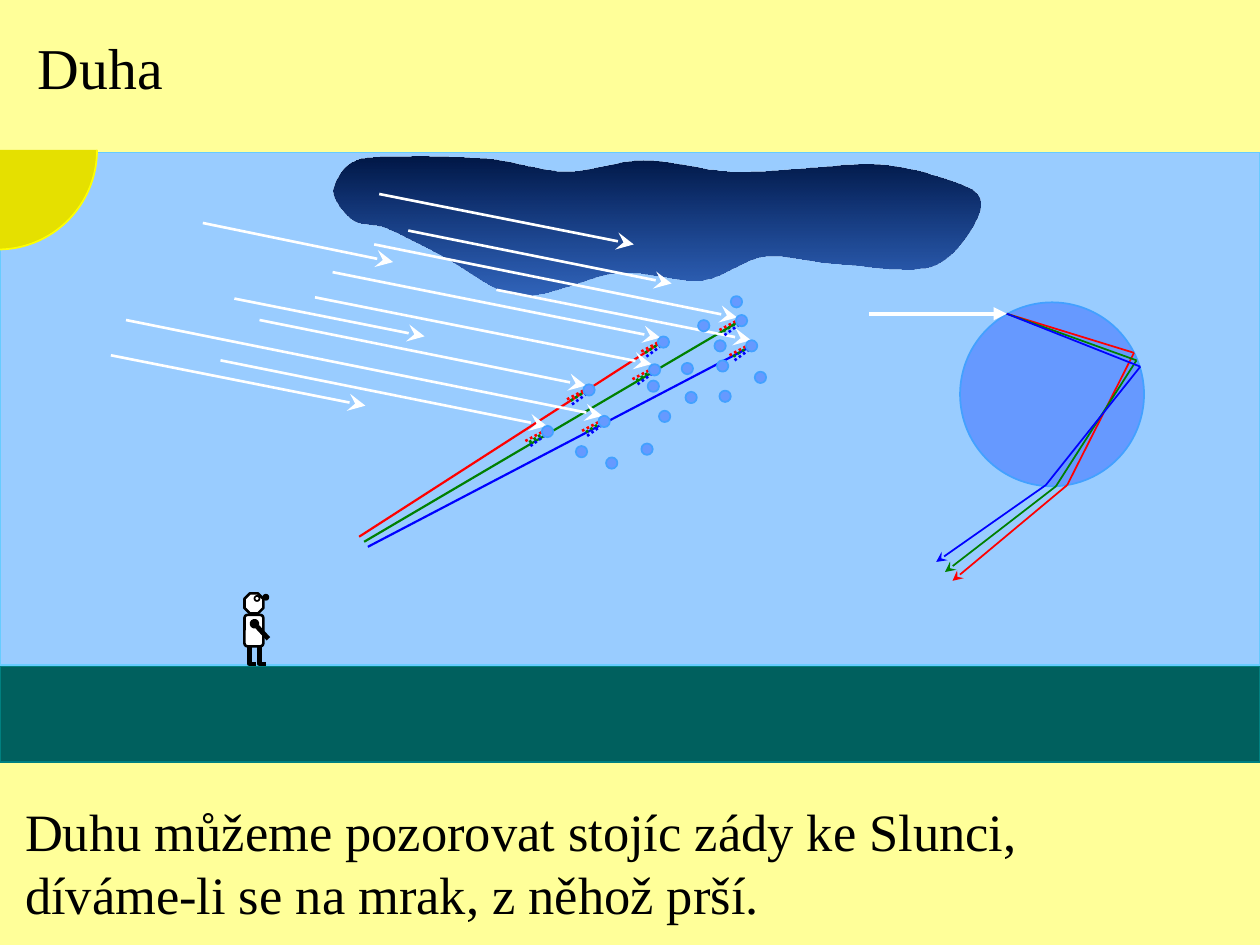
from dataclasses import dataclass

from lxml import etree
from pptx import Presentation
from pptx.dml.color import RGBColor
from pptx.enum.dml import MSO_LINE
from pptx.enum.shapes import MSO_CONNECTOR, MSO_SHAPE
from pptx.enum.text import MSO_AUTO_SIZE, PP_ALIGN
from pptx.oxml.ns import qn
from pptx.util import Inches, Pt

RECT, OVAL, ARC = MSO_SHAPE.RECTANGLE, MSO_SHAPE.OVAL, MSO_SHAPE.ARC
ROUNDED, OCTAGON = MSO_SHAPE.ROUNDED_RECTANGLE, MSO_SHAPE.OCTAGON
STRAIGHT, DOTTED = MSO_CONNECTOR.STRAIGHT, MSO_LINE.ROUND_DOT
LEFT, JUSTIFY = PP_ALIGN.LEFT, PP_ALIGN.JUSTIFY


@dataclass(frozen=True)
class Theme:
    font: str = "Times New Roman"
    title_size: int = 33
    body_size: int = 30
    paper: str = "FFFF99"
    black: str = "000000"
    white: str = "FFFFFF"
    sky: str = "99CCFF"
    sky_edge: str = "66CCFF"
    ground: str = "00605E"
    ground_edge: str = "008080"
    water: str = "6699FF"
    water_edge: str = "43A1FF"
    sun: str = "E5E000"
    sun_edge: str = "FFFF00"
    cloud_top: str = "001746"
    cloud_bottom: str = "003398"
    red: str = "FF0000"
    green: str = "008000"
    blue: str = "0000FF"


T = Theme()
prs = Presentation()
prs.slide_width, prs.slide_height = Inches(10), Inches(7.5)
CELL = prs.slide_width // 10  # grid of 10 columns by 7.5 rows
s = prs.slides.add_slide(prs.slide_layouts[6])
s.background.fill.solid()
s.background.fill.fore_color.rgb = RGBColor.from_string(T.paper)


def paint(shape, fill, line, width=1):
    """Set fill and outline; None leaves that part empty."""
    shape.shadow.inherit = False
    for color, target in ((fill, shape.fill), (line, shape.line.fill)):
        if color:
            target.solid()
            target.fore_color.rgb = RGBColor.from_string(color)
        else:
            target.background()
    if line:
        shape.line.width = Pt(width)
    return shape


def add_ray(start, end, color, width, head=None, tail=None, size="med", dash=None):
    """Draw a straight line between two grid points."""
    ray = s.shapes.add_connector(STRAIGHT, *(round(v * CELL) for v in (*start, *end)))
    ray.line.color.rgb = RGBColor.from_string(color)
    ray.line.width = Pt(width)
    if dash:
        ray.line.dash_style = dash
    ln = ray.line._get_or_add_ln()
    for tag, kind in (("a:headEnd", head), ("a:tailEnd", tail)):
        if kind:
            etree.SubElement(ln, qn(tag), type=kind, w=size, len=size)
    etree.SubElement(ray._element.spPr, qn("a:effectLst"))


# Sky, ground and the enlarged raindrop
for kind, box, fill, line in (
    (RECT, (0, 1.21, 10, 4.07), T.sky, T.sky_edge),
    (RECT, (0, 5.29, 10, 0.76), T.ground, T.ground_edge),
    (OVAL, (7.62, 2.4, 1.46, 1.46), T.water, T.water_edge),
):
    paint(s.shapes.add_shape(kind, *(round(v * CELL) for v in box)), fill, line)

# Quarter sun in the corner of the sky, from 0 to 90 degrees
sun = s.shapes.add_shape(ARC, *(round(v * CELL) for v in (-0.8, 0.4, 1.57, 1.58)))
paint(sun, T.sun, T.sun_edge)
sun.adjustments[0], sun.adjustments[1] = 0, 54

# Cloud edge: a start point, then two controls and an end per curve
cloud_start = (2.65, 1.51)
cloud_curves = (
    (2.65, 1.59, 2.73, 1.69, 2.8, 1.74), (2.87, 1.79, 2.96, 1.76, 3.08, 1.81),
    (3.2, 1.86, 3.35, 1.94, 3.52, 2.03), (3.7, 2.12, 3.91, 2.32, 4.14, 2.34),
    (4.37, 2.36, 4.67, 2.18, 4.91, 2.16), (5.15, 2.14, 5.38, 2.24, 5.58, 2.22),
    (5.77, 2.19, 5.9, 2.05, 6.07, 2.03), (6.25, 2.01, 6.43, 2.08, 6.65, 2.09),
    (6.87, 2.1, 7.23, 2.18, 7.42, 2.1), (7.6, 2.02, 7.78, 1.73, 7.78, 1.61),
    (7.78, 1.49, 7.58, 1.45, 7.44, 1.4), (7.3, 1.35, 7.1, 1.31, 6.93, 1.3),
    (6.76, 1.29, 6.61, 1.32, 6.42, 1.33), (6.23, 1.34, 6.01, 1.37, 5.79, 1.36),
    (5.57, 1.35, 5.32, 1.27, 5.11, 1.27), (4.89, 1.27, 4.69, 1.36, 4.49, 1.36),
    (4.29, 1.36, 4.09, 1.28, 3.89, 1.26), (3.68, 1.24, 3.44, 1.24, 3.27, 1.24),
    (3.09, 1.25, 2.93, 1.23, 2.83, 1.27), (2.72, 1.32, 2.66, 1.43, 2.65, 1.51),
)

# Free outlines: cloud and the observer's legs
outlines = [([cloud_start] + [c[4:] for c in cloud_curves], True, T.cloud_top, None, 0)]
for leg_x in (2.06, 1.98):
    leg = [(leg_x, 5.13), (leg_x, 5.27), (leg_x + 0.05, 5.27)]
    outlines.append((leg, False, None, T.black, 2.5))
drawn = []
for points, closed, fill, line, width in outlines:
    emu = [(round(x * CELL), round(y * CELL)) for x, y in points]
    builder = s.shapes.build_freeform(*emu[0], scale=1.0)
    builder.add_line_segments(emu[1:], close=closed)
    drawn.append(paint(builder.convert_to_shape(), fill, line, width))

# Bend the cloud's straight segments into curves
cloud = drawn[0]
segments = cloud._element.spPr.findall(".//" + qn("a:lnTo"))
for segment, curve in zip(segments, cloud_curves):
    bend = etree.Element(qn("a:cubicBezTo"))
    for x, y in zip(curve[::2], curve[1::2]):
        etree.SubElement(bend, qn("a:pt"), x=str(round(x * CELL) - cloud.left),
                         y=str(round(y * CELL) - cloud.top))
    segment.getparent().replace(segment, bend)

# Cloud shading, dark at the top and sheer at the bottom
shade = cloud.fill
shade.gradient()
shade.gradient_angle = 270
for stop, color in zip(shade.gradient_stops, (T.cloud_top, T.cloud_bottom)):
    stop.color.rgb = RGBColor.from_string(color)
last_color = cloud._element.spPr.findall(".//" + qn("a:srgbClr"))[-1]
etree.SubElement(last_color, qn("a:alpha"), val="68000")

# Title and explanation
for box, lines, size, align in (
    ((0.2, 0.2, 1.19, 0.65), ["Duha"], T.title_size, LEFT),
    ((0.1, 6.29, 8.08, 1.1),
     ["Duhu můžeme pozorovat stojíc zády ke Slunci,",
      "díváme-li se na mrak, z něhož prší."], T.body_size, JUSTIFY),
):
    tf = s.shapes.add_textbox(*(round(v * CELL) for v in box)).text_frame
    tf.word_wrap = False
    tf.auto_size = MSO_AUTO_SIZE.SHAPE_TO_FIT_TEXT
    tf.text = "\n".join(lines)
    for p in tf.paragraphs:
        p.alignment = align
        for r in p.runs:
            r.font.name, r.font.size = T.font, Pt(size)
            r.font.color.rgb = RGBColor.from_string(T.black)

# Light split inside the enlarged drop: entry, reflection, exit, way out
entry = (7.99, 2.49)
for color, mirror, leave, out in (
    (T.red, (9, 2.8), (8.47, 3.85), (7.56, 4.61)),
    (T.green, (9.02, 2.86), (8.38, 3.86), (7.5, 4.54)),
    (T.blue, (9.05, 2.91), (8.3, 3.85), (7.43, 4.46)),
):
    add_ray(entry, mirror, color, 1)
    add_ray(leave, mirror, color, 1)
    add_ray(out, leave, color, 1, head="stealth")
add_ray((6.9, 2.49), entry, T.white, 2.5, tail="triangle")

# Observer: head, body, eye and nose
for kind, box, fill, width, corner in (
    (OCTAGON, (1.94, 4.71, 0.15, 0.16), T.white, 1.5, 0.29),
    (ROUNDED, (1.94, 4.88, 0.15, 0.25), T.white, 1.5, 0.17),
    (OVAL, (2.02, 4.73, 0.04, 0.04), T.white, 1, None),
    (OVAL, (2.09, 4.72, 0.04, 0.04), T.black, 1, None),
):
    part = s.shapes.add_shape(kind, *(round(v * CELL) for v in box))
    paint(part, fill, T.black, width)
    if corner:
        part.adjustments[0] = corner

# Coloured rays that reach the observer
for start, end, color in (
    ((2.85, 4.26), (5.29, 2.69), T.red),
    ((2.89, 4.3), (5.85, 2.56), T.green),
    ((2.92, 4.34), (5.96, 2.75), T.blue),
):
    add_ray(start, end, color, 1.25)

# Sunbeams
for x0, y0, x1, y1 in (
    (3.24, 1.83, 5.33, 2.25), (2.64, 2.16, 5.24, 2.68), (2.5, 2.36, 5.17, 2.89),
    (2.06, 2.54, 4.65, 3.06), (1.75, 2.86, 4.34, 3.38), (2.97, 1.94, 5.85, 2.52),
    (3.01, 1.54, 5.03, 1.94), (3.94, 2.3, 5.96, 2.7), (1, 2.54, 4.78, 3.3),
    (0.88, 2.82, 2.9, 3.22), (1.86, 2.37, 3.37, 2.67), (1.61, 1.77, 3.12, 2.08),
):
    add_ray((x0, y0), (x1, y1), T.white, 1.5, tail="stealth", size="lg")

# Raindrops; the lit ones each send out a dotted spectrum
plain_drops = [(5.99, 2.95), (5.14, 3.02), (5.23, 3.26), (5.41, 2.88), (5.54, 2.54),
               (5.44, 3.11), (5.67, 2.7), (5.8, 2.35), (4.57, 3.54), (4.81, 3.63),
               (5.09, 3.52), (5.71, 3.1), (5.69, 2.86)]
lit_drops = [(5.84, 2.5), (5.22, 2.67), (5.92, 2.7), (5.15, 2.89), (4.63, 3.05),
             (4.3, 3.38), (4.75, 3.3)]
spectrum = ((T.red, -0.13, 0.12, 0, 0.05), (T.blue, -0.09, 0.16, 0.02, 0.08),
            (T.green, -0.1, 0.13, 0.01, 0.06))
for x, y in lit_drops:
    for color, dx0, dy0, dx1, dy1 in spectrum:
        add_ray((x + dx0, y + dy0), (x + dx1, y + dy1), color, 1.5, dash=DOTTED)
for x, y in plain_drops + lit_drops:
    drop = s.shapes.add_shape(OVAL, *(round(v * CELL) for v in (x, y, 0.09, 0.09)))
    paint(drop, T.water, T.water_edge)

# Observer's arm
add_ray((2.02, 4.95), (2.13, 5.07), T.black, 2.75, head="oval", size="sm")

prs.save("out.pptx")
